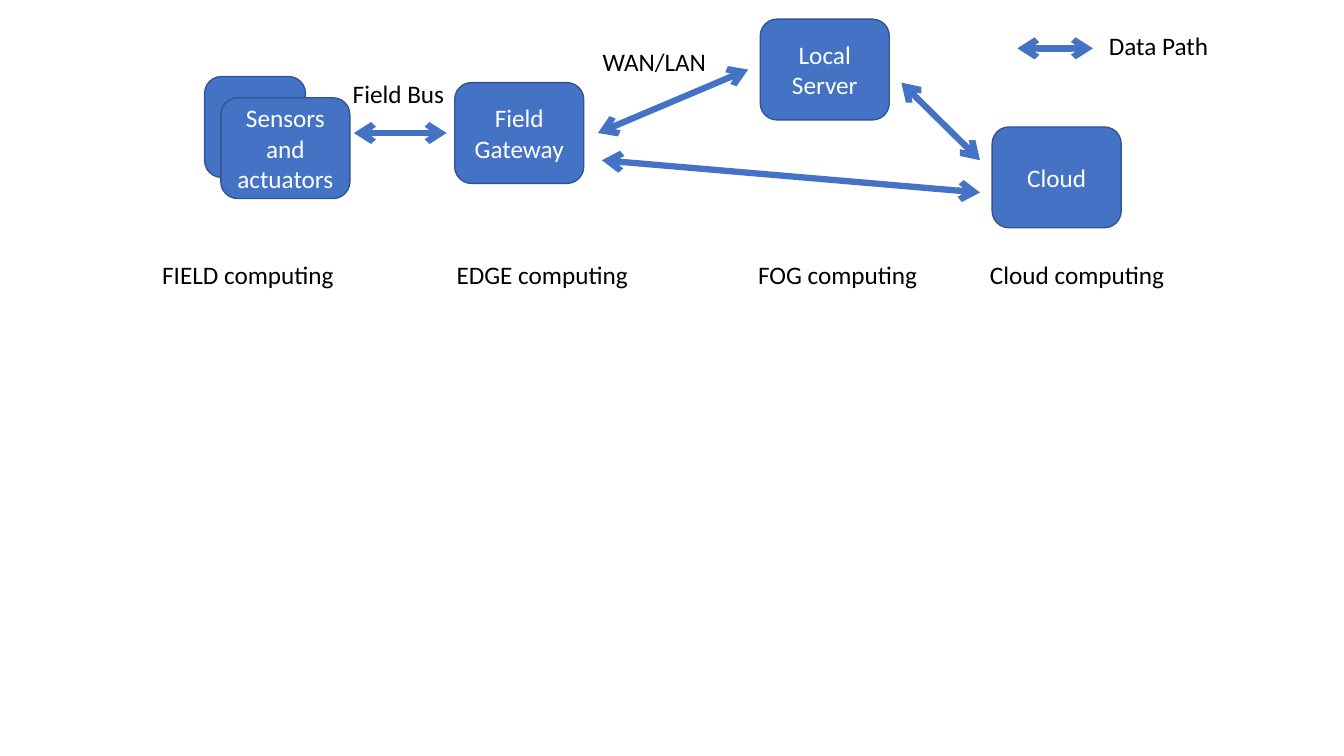
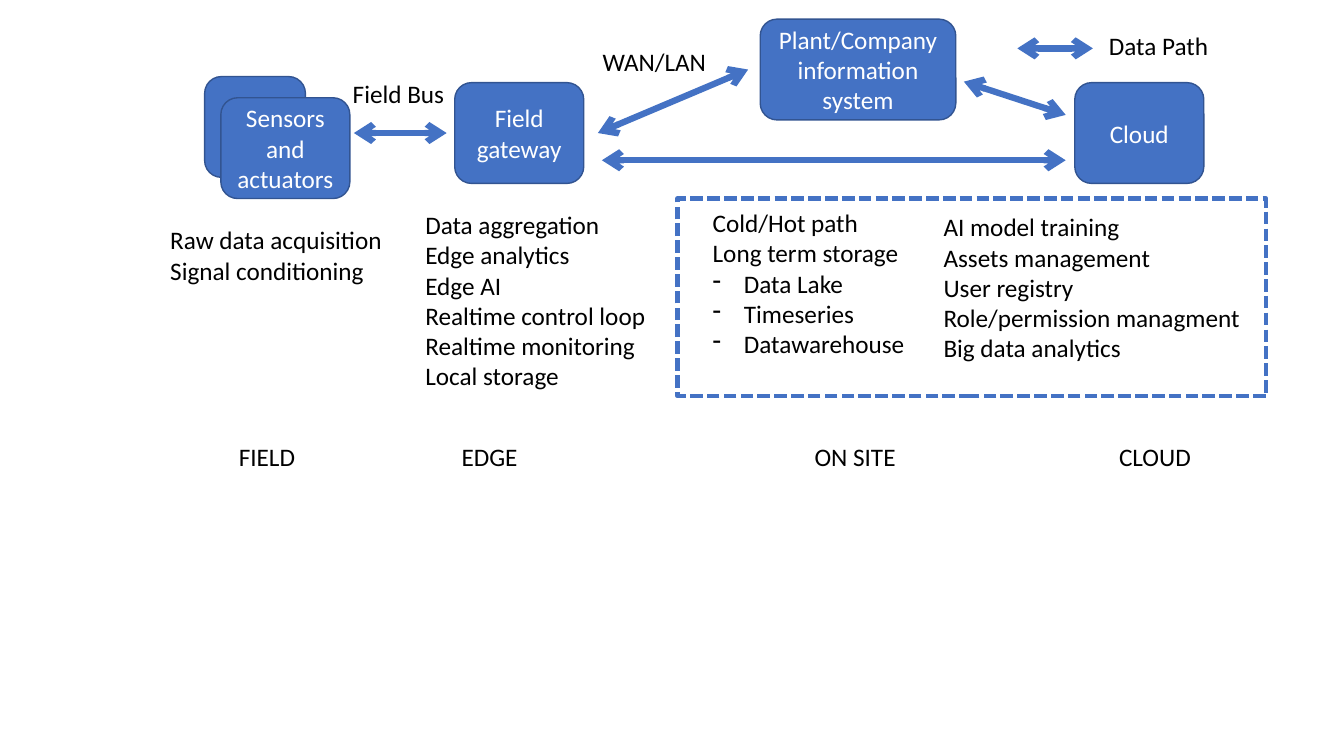
from pptx import Presentation
from pptx.dml.color import RGBColor
from pptx.enum.dml import MSO_LINE
from pptx.enum.shapes import MSO_CONNECTOR, MSO_SHAPE
from pptx.enum.text import MSO_ANCHOR, MSO_AUTO_SIZE, PP_ALIGN
from pptx.oxml.ns import qn
from pptx.util import Inches, Pt
from lxml.etree import SubElement

# Shared style
BLUE, OUTLINE, WHITE, BLACK = "4472C4", "325491", "FFFFFF", "000000"
FONT, TEXT_SIZE = "Calibri", 18
BOX_WIDTH, BOX_HEIGHT, LINE_HEIGHT = 1.28, 1, 0.3
BULLET_INDENT = 0.31


def rgb(code):
    return RGBColor.from_string(code)


def write(frame, text, color=BLACK, align=PP_ALIGN.LEFT, anchor=MSO_ANCHOR.TOP, wrap=True):
    """Fill a text frame, one paragraph a line; lines starting with '- ' become bullets."""
    frame.word_wrap = wrap
    frame.vertical_anchor = anchor
    for number, line in enumerate(text.split("\n")):
        paragraph = frame.add_paragraph() if number else frame.paragraphs[0]
        paragraph.alignment = align
        run = paragraph.add_run()
        run.text = line.removeprefix("- ")
        run.font.name, run.font.size = FONT, Pt(TEXT_SIZE)
        run.font.color.rgb = rgb(color)
        if line.startswith("- "):
            properties = paragraph._p.get_or_add_pPr()
            properties.set("marL", str(Inches(BULLET_INDENT)))
            properties.set("indent", str(-Inches(BULLET_INDENT)))
            SubElement(properties, qn("a:buChar"), char="-")


class Diagram:
    def __init__(self):
        self.deck = Presentation()
        self.deck.slide_width, self.deck.slide_height = Inches(13.33), Inches(7.5)
        self.slide = None

    def new_slide(self):
        self.slide = self.deck.slides.add_slide(self.deck.slide_layouts[6])

    def shape(self, kind, left, top, width, height, line, line_width):
        shape = self.slide.shapes.add_shape(
            kind, Inches(left), Inches(top), Inches(width), Inches(height))
        shape.shadow.inherit = False
        shape.line.color.rgb, shape.line.width = rgb(line), Pt(line_width)
        return shape

    def node(self, left, top, text="", width=BOX_WIDTH):
        node = self.shape(MSO_SHAPE.ROUNDED_RECTANGLE, left, top, width, BOX_HEIGHT, OUTLINE, 1)
        node.fill.solid()
        node.fill.fore_color.rgb = rgb(BLUE)
        if text:
            write(node.text_frame, text, color=WHITE,
                  align=PP_ALIGN.CENTER, anchor=MSO_ANCHOR.MIDDLE)

    def dashed_frame(self, left, top, width, height):
        frame = self.shape(MSO_SHAPE.RECTANGLE, left, top, width, height, BLUE, 3)
        frame.fill.background()
        frame.line.dash_style = MSO_LINE.SQUARE_DOT

    def data_path(self, x1, y1, x2, y2):
        path = self.slide.shapes.add_connector(
            MSO_CONNECTOR.STRAIGHT, Inches(x1), Inches(y1), Inches(x2), Inches(y2))
        path.line.color.rgb, path.line.width = rgb(BLUE), Pt(4.5)
        for end in ("a:headEnd", "a:tailEnd"):
            SubElement(path.line._get_or_add_ln(), qn(end), type="arrow")
        SubElement(path._element.spPr, qn("a:effectLst"))

    def label(self, left, top, width, text, wrap=False):
        height = 0.1 + LINE_HEIGHT * len(text.split("\n"))
        box = self.slide.shapes.add_textbox(
            Inches(left), Inches(top), Inches(width), Inches(height))
        write(box.text_frame, text, wrap=wrap)
        box.text_frame.auto_size = MSO_AUTO_SIZE.SHAPE_TO_FIT_TEXT

    def tier_names(self, top, tiers):
        for left, width, name in tiers:
            self.label(left, top, width, name)

    def field_side(self, gateway):
        """The part both slides share: sensors, gateway, links and legend."""
        self.node(2.03, 0.76, width=1)
        self.node(2.19, 0.97, "Sensors and actuators")
        self.node(4.51, 0.82, gateway)
        self.data_path(3.51, 1.32, 4.43, 1.32)
        self.data_path(5.93, 1.32, 7.42, 0.69)
        self.label(3.4, 0.73, 1.12, "Field Bus")
        self.label(5.88, 0.41, 1.24, "WAN/LAN")
        self.data_path(10.09, 0.48, 10.84, 0.48)
        self.label(10.9, 0.25, 1.2, "Data Path")


diagram = Diagram()

# Slide 1: computing tiers
diagram.new_slide()
diagram.field_side("Field Gateway")
diagram.node(7.54, 0.19, "Local Server")
diagram.node(9.84, 1.26, "Cloud")
diagram.data_path(5.97, 1.59, 9.72, 1.91)
diagram.data_path(9.72, 1.59, 8.94, 0.82)
diagram.tier_names(2.52, [
    (1.51, 1.92, "FIELD computing"),
    (4.43, 1.92, "EDGE computing"),
    (7.42, 1.8, "FOG computing"),
    (9.72, 1.95, "Cloud computing"),
])

# Slide 2: functions at each tier
diagram.new_slide()
diagram.field_side("Field gateway")
diagram.node(7.54, 0.19, "Plant/Company information system", width=1.94)
diagram.node(10.66, 0.82, "Cloud")
diagram.data_path(5.97, 1.59, 10.57, 1.59)
diagram.data_path(10.57, 1.14, 9.56, 0.81)
diagram.tier_names(4.33, [
    (2.27, 0.77, "FIELD"),
    (4.48, 0.76, "EDGE"),
    (7.98, 1.01, "ON SITE"),
    (11, 0.92, "CLOUD"),
])

# Function lists, with the on-site and cloud ones framed
diagram.label(1.59, 2.18, 2.47, "Raw data acquisition\nSignal conditioning", wrap=True)
diagram.label(4.12, 2.03, 2.47, "Data aggregation\nEdge analytics\nEdge AI\n"
              "Realtime control loop\nRealtime monitoring\nLocal storage", wrap=True)
diagram.label(6.97, 2.01, 2.38, "Cold/Hot path\nLong term storage\n"
              "- Data Lake\n- Timeseries\n- Datawarehouse", wrap=True)
diagram.label(9.26, 2.05, 3.17, "AI model training\nAssets management\nUser registry\n"
              "Role/permission managment\nBig data analytics")
diagram.dashed_frame(6.72, 1.97, 5.84, 1.96)

diagram.deck.save("out.pptx")
